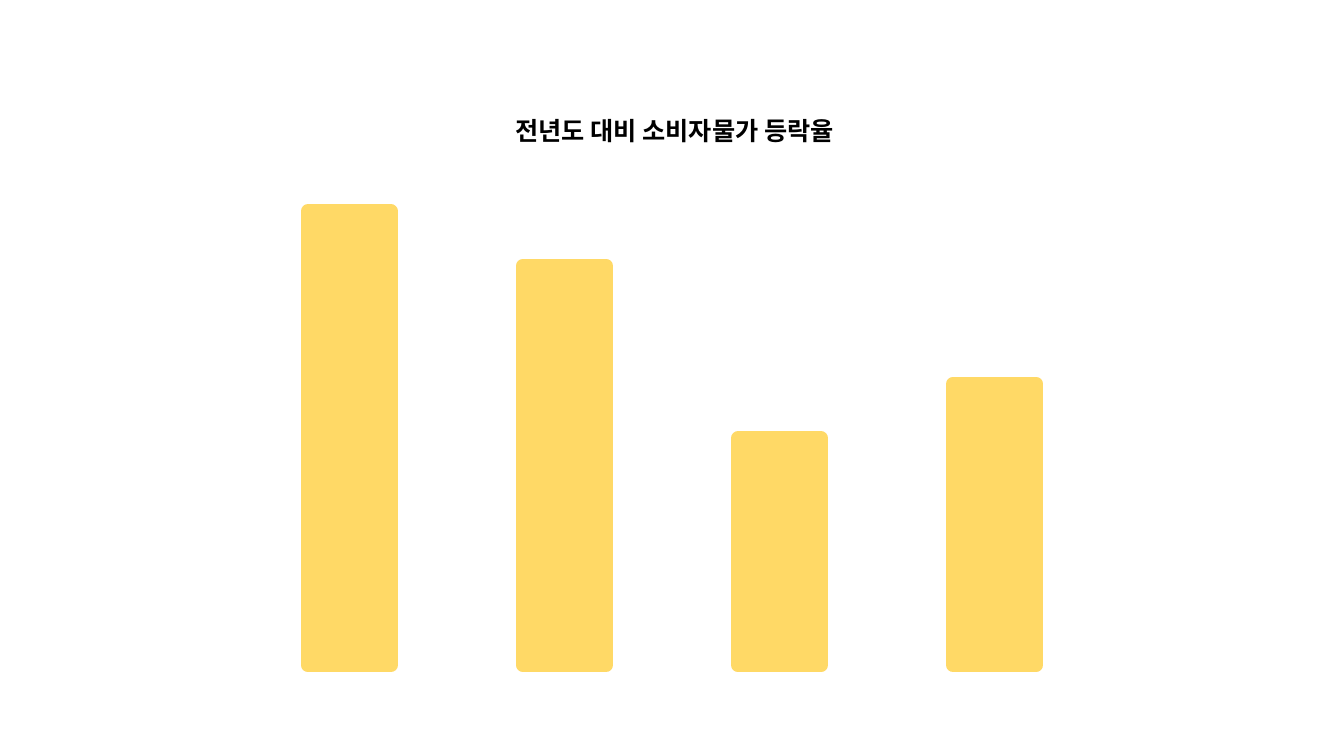
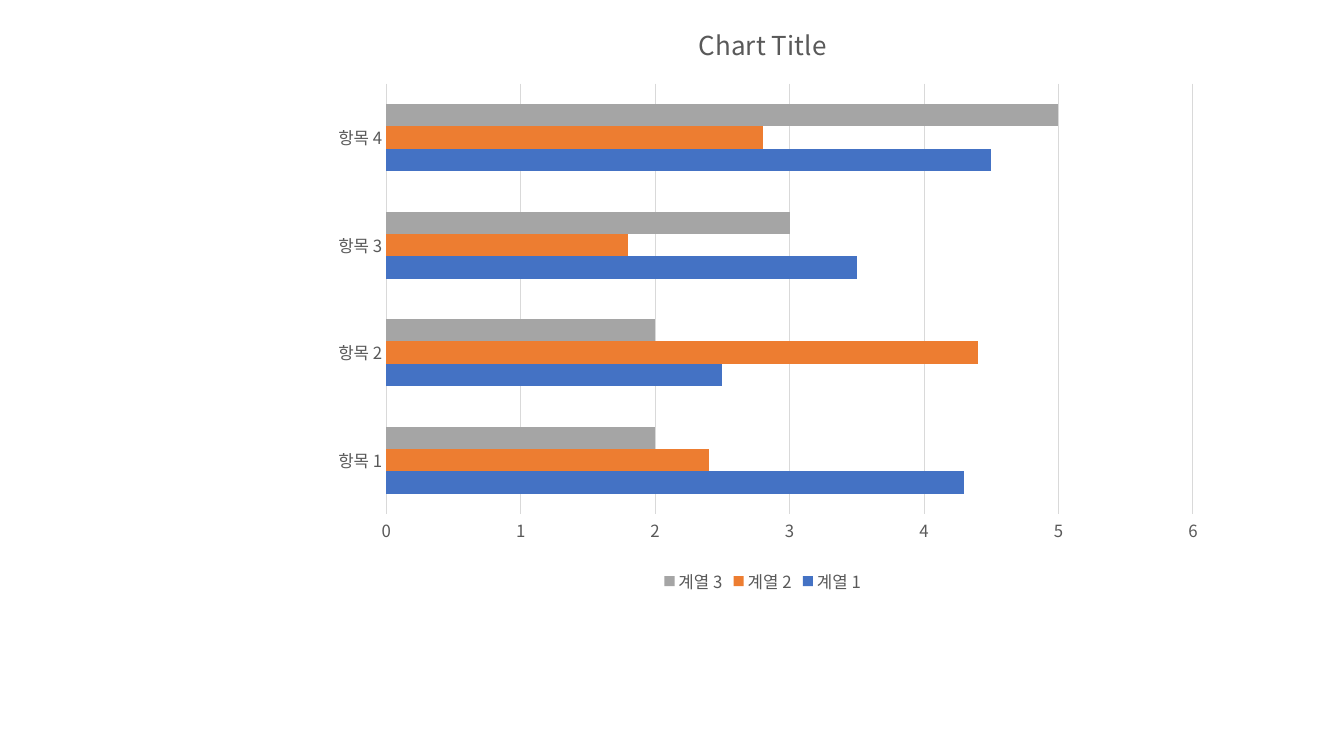
import lxml.etree
import pptx
import pptx.chart.data
import pptx.dml.color
import pptx.enum.chart
import pptx.oxml.ns
import pptx.util

Inches = pptx.util.Inches
Pt = pptx.util.Pt
RGB = pptx.dml.color.RGBColor
Kind = pptx.enum.chart.XL_CHART_TYPE
Tick = pptx.enum.chart.XL_TICK_MARK
qn = pptx.oxml.ns.qn

FONT = "Noto Sans CJK KR"
BLACK = RGB(0x00, 0x00, 0x00)
TEXT = RGB(0x59, 0x59, 0x59)
RULE = RGB(0xD9, 0xD9, 0xD9)
YELLOW = RGB(0xFF, 0xD9, 0x66)
BLUE = RGB(0x44, 0x72, 0xC4)
ORANGE = RGB(0xED, 0x7D, 0x31)
GRAY = RGB(0xA5, 0xA5, 0xA5)


def style(font, size, color, bold=False):
    """Set the shared font with a size, colour and weight."""
    font.name = FONT
    font.size = Pt(size)
    font.color.rgb = color
    font.bold = bold


def place(box, **parts):
    """Give a chart part a manual layout in shares of the chart."""
    layout = box.find(qn("c:layout"))
    if layout is None:
        layout = lxml.etree.Element(qn("c:layout"))
        box.insert(0, layout)
    manual = lxml.etree.SubElement(layout, qn("c:manualLayout"))
    for name, value in parts.items():
        lxml.etree.SubElement(manual, qn("c:" + name), val=str(value))


def set_plot(chart, x, y, w, h):
    """Fix the inner plot area of a chart."""
    place(chart.element.xpath(".//c:plotArea")[0], layoutTarget="inner",
          xMode="edge", yMode="edge", x=x, y=y, w=w, h=h)


def set_title(chart, text, size, color, bold=False):
    """Write the chart title."""
    chart.has_title = True
    para = chart.chart_title.text_frame.paragraphs[0]
    para.text = text
    style(para.runs[0].font, size, color, bold)


def add_chart(deck, kind, left, top, cats, rows, gap):
    """Add a slide with a chart; rows hold name, values and colour."""
    data = pptx.chart.data.CategoryChartData()
    data.categories = cats
    for name, values, _ in rows:
        data.add_series(name, values)
    slide = deck.slides.add_slide(deck.slide_layouts[6])
    chart = slide.shapes.add_chart(kind, Inches(left), Inches(top), Inches(8.89),
                                   Inches(5.93), data).chart
    style(chart.font, 10, BLACK)
    chart.has_legend = False
    plot = chart.plots[0]
    plot.gap_width = gap
    plot.vary_by_categories = False
    for series, (_, _, color) in zip(plot.series, rows):
        series.invert_if_negative = False
        series.format.fill.solid()
        series.format.fill.fore_color.rgb = color
    return chart


def set_line(line, color, width):
    """Colour a line and set its width."""
    line.color.rgb = color
    line.width = Pt(width)


def set_asian(chart):
    """Use each Latin font for Korean text too."""
    for latin in chart.element.xpath(".//a:latin"):
        latin.addnext(lxml.etree.Element(qn("a:ea"), typeface=latin.get("typeface")))


def add_prices(deck):
    """Add the rounded columns of price changes."""
    chart = add_chart(deck, Kind.COLUMN_CLUSTERED, 2.22, 0.79, ["1", "2", "3", "4"],
                      [("Series 1", (100, 88, 50, 62), YELLOW)], 160)
    chart.plots[0].overlap = -72
    set_line(chart.plots[0].series[0].format.line, YELLOW, 10)
    for line in chart.element.xpath(".//c:ser/c:spPr/a:ln"):
        lxml.etree.SubElement(line, qn("a:round"))
    values = chart.value_axis
    values.minimum_scale, values.maximum_scale = 0, 100
    values.has_major_gridlines = False
    values.tick_labels.number_format = "0.0%"
    values.tick_labels.number_format_is_linked = False
    values.visible = chart.category_axis.visible = False
    set_title(chart, "전년도 대비 소비자물가 등락율", 18, BLACK, True)
    place(chart.element.xpath(".//c:title")[0], xMode="edge", yMode="edge", x=0.32, y=0.04)
    set_plot(chart, 0.02, 0.22, 0.96, 0.76)
    set_asian(chart)


def add_items(deck):
    """Add the bars of three series by item."""
    rows = [("계열 1", (4.3, 2.5, 3.5, 4.5), BLUE),
            ("계열 2", (2.4, 4.4, 1.8, 2.8), ORANGE),
            ("계열 3", (2, 2, 3, 5), GRAY)]
    cats = [f"항목 {n}" for n in range(1, 5)]
    chart = add_chart(deck, Kind.BAR_CLUSTERED, 3.12, 0, cats, rows, 182)
    for axis in (chart.category_axis, chart.value_axis):
        axis.major_tick_mark = axis.minor_tick_mark = Tick.NONE
        style(axis.tick_labels.font, 12, TEXT)
    set_line(chart.category_axis.format.line, RULE, 0.75)
    values = chart.value_axis
    values.minimum_scale, values.maximum_scale, values.major_unit = 0, 6, 1
    values.format.line.fill.background()
    set_line(values.major_gridlines.format.line, RULE, 0.75)
    chart.has_legend = True
    chart.legend.position = pptx.enum.chart.XL_LEGEND_POSITION.BOTTOM
    chart.legend.include_in_layout = False
    style(chart.legend.font, 12, TEXT)
    set_title(chart, "Chart Title", 18.6, TEXT)
    set_plot(chart, 0.08, 0.14, 0.9, 0.72)
    set_asian(chart)


def main():
    """Build and save the two slides."""
    deck = pptx.Presentation()
    deck.slide_width = Inches(13.33)
    deck.slide_height = Inches(7.5)
    add_prices(deck)
    add_items(deck)
    deck.save("out.pptx")


main()
